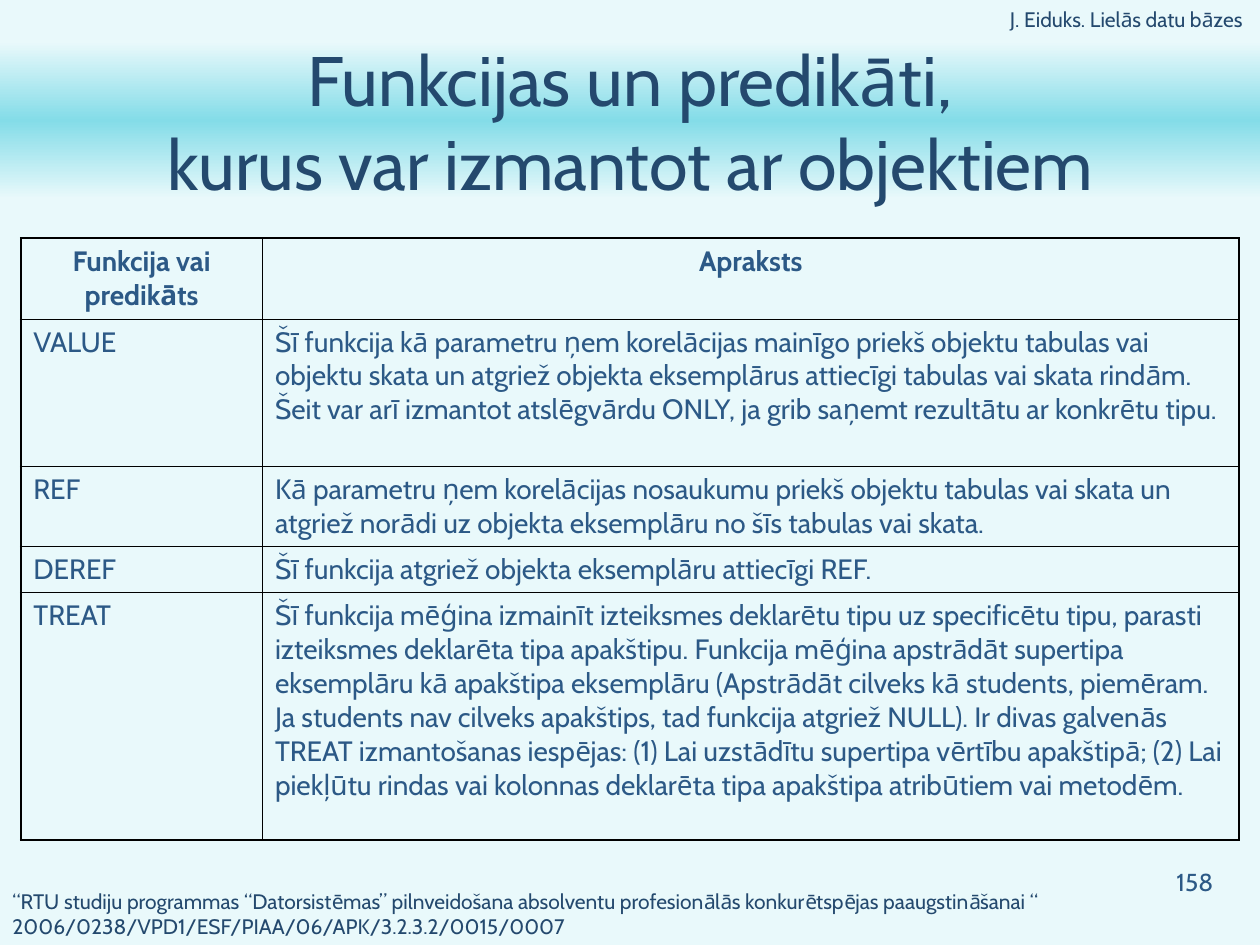
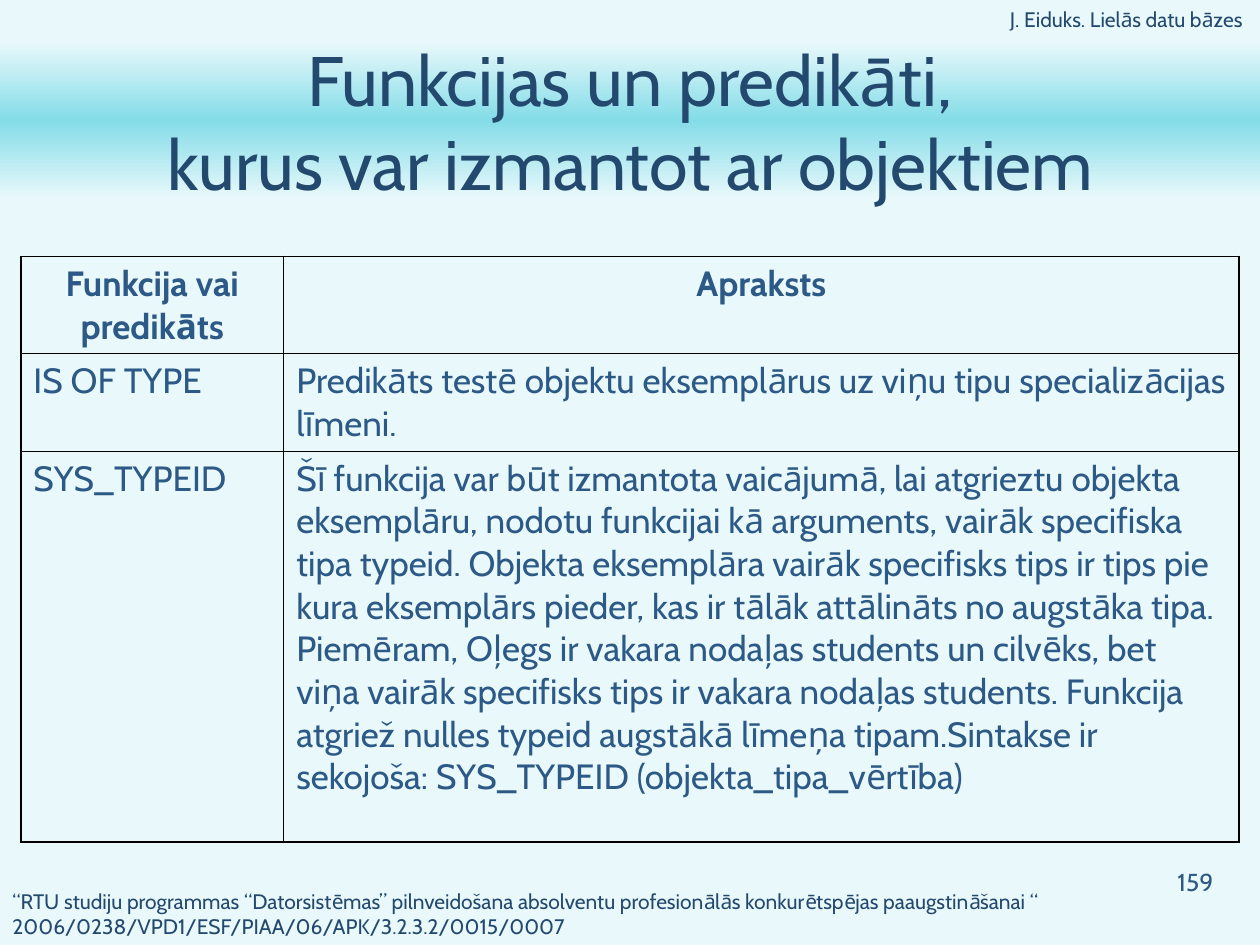
"""Build two slides on the functions and predicates usable with objects."""
from copy import deepcopy

from lxml import etree
from pptx import Presentation
from pptx.dml.color import RGBColor
from pptx.enum.text import MSO_ANCHOR, MSO_AUTO_SIZE, PP_ALIGN
from pptx.oxml.ns import qn
from pptx.util import Cm, Pt

LEFT, CENTER, RIGHT = PP_ALIGN.LEFT, PP_ALIGN.CENTER, PP_ALIGN.RIGHT
TOP, MIDDLE = MSO_ANCHOR.TOP, MSO_ANCHOR.MIDDLE
NO_AUTOFIT = MSO_AUTO_SIZE.NONE
TITLE_ONLY = 5

FONT = "Cabin"
COLORS = {
    "background": "E9F9FB",
    "band": "84DCE8",
    "title": "24496E",
    "body": "2C5986",
    "border": "000000",
}
OUTER_BORDER, INNER_BORDER = Pt(1.08), Pt(0.45)
PAGE_WIDTH, PAGE_HEIGHT = Cm(25.4), Cm(19.05)
TABLE_LEFT = Cm(0.42)
TITLE_SIZE = 40
FIRST_NUMBER = 158

TITLE = "Funkcijas un predikāti,\vkurus var izmantot ar objektiem"
HEADER = "J. Eiduks. Lielās datu bāzes "
FOOTER = [
    "“RTU studiju programmas “Datorsistēmas” pilnveidošana absolventu "
    "profesionālās konkurētspējas paaugstināšanai “",
    "2006/0238/VPD1/ESF/PIAA/06/APK/3.2.3.2/0015/0007",
]
HEADINGS = ("Funkcija vai predikāts", "Apraksts")

TABLES = [
    {
        "top": 4.8,
        "size": 16,
        "widths": [4.87, 19.69],
        "heights": [1.63, 2.97, 1.61, 0.94, 4.99],
        "rows": [
            HEADINGS,
            ("VALUE",
             "Šī funkcija kā parametru ņem korelācijas mainīgo priekš objektu "
             "tabulas vai objektu skata un atgriež objekta eksemplārus attiecīgi "
             "tabulas vai skata rindām. Šeit var arī izmantot atslēgvārdu ONLY, "
             "ja grib saņemt rezultātu ar konkrētu tipu."),
            ("REF",
             "Kā parametru ņem korelācijas nosaukumu priekš objektu tabulas vai "
             "skata un atgriež norādi uz objekta eksemplāru no šīs tabulas vai "
             "skata."),
            ("DEREF", "Šī funkcija atgriež objekta eksemplāru attiecīgi REF."),
            ("TREAT",
             "Šī funkcija mēģina izmainīt izteiksmes deklarētu tipu uz specificētu "
             "tipu, parasti izteiksmes deklarēta tipa apakštipu. Funkcija mēģina "
             "apstrādāt supertipa eksemplāru kā apakštipa eksemplāru (Apstrādāt "
             "cilveks kā students, piemēram. Ja students nav cilveks apakštips, "
             "tad funkcija atgriež NULL). Ir divas galvenās TREAT izmantošanas "
             "iespējas: (1) Lai uzstādītu supertipa vērtību apakštipā; (2) Lai "
             "piekļūtu rindas vai kolonnas deklarēta tipa apakštipa atribūtiem "
             "vai metodēm."),
        ],
    },
    {
        "top": 5.17,
        "size": 20,
        "widths": [5.3, 19.26],
        "heights": [1.96, 1.96, 7.88],
        "rows": [
            HEADINGS,
            ("IS OF TYPE",
             "Predikāts testē objektu eksemplārus uz viņu tipu specializācijas "
             "līmeni."),
            ("SYS_TYPEID",
             "Šī funkcija var būt izmantota vaicājumā, lai atgrieztu objekta "
             "eksemplāru, nodotu funkcijai kā arguments, vairāk specifiska tipa "
             "typeid. Objekta eksemplāra vairāk specifisks tips ir tips pie kura "
             "eksemplārs pieder, kas ir tālāk attālināts no augstāka tipa. "
             "Piemēram, Oļegs ir vakara nodaļas students un cilvēks, bet viņa "
             "vairāk specifisks tips ir vakara nodaļas students. Funkcija atgriež "
             "nulles typeid augstākā līmeņa tipam.Sintakse ir sekojoša: "
             "SYS_TYPEID (objekta_tipa_vērtība)"),
        ],
    },
]


def color(name):
    return RGBColor.from_string(COLORS[name])


def write(frame, *lines, size=12, ink="title", bold=False, align=LEFT, anchor=TOP):
    frame.word_wrap = True
    frame.vertical_anchor = anchor
    for index, line in enumerate(lines):
        paragraph = frame.add_paragraph() if index else frame.paragraphs[0]
        paragraph.text = line
        paragraph.alignment = align
        for span in paragraph.runs:
            span.font.name = FONT
            span.font.size = Pt(size)
            span.font.bold = bold
            span.font.color.rgb = color(ink)


def add_text(page, left, top, width, height, *lines, **style):
    box = page.shapes.add_textbox(Cm(left), Cm(top), Cm(width), Cm(height))
    write(box.text_frame, *lines, **style)


def add_title(page):
    title = page.shapes.title
    title.left, title.top = 0, Cm(0.84)
    title.width, title.height = PAGE_WIDTH, Cm(3.17)
    title.fill.gradient()
    title.fill.gradient_angle = 270
    stop_list = title.fill.gradient_stops[0]._gs.getparent()
    stop_list.append(deepcopy(stop_list[0]))
    names = ("background", "band", "background")
    for index, (stop, name) in enumerate(zip(title.fill.gradient_stops, names)):
        stop.position = index / 2
        stop.color.rgb = color(name)
    title.text_frame.auto_size = NO_AUTOFIT
    write(title.text_frame, TITLE, size=TITLE_SIZE, align=CENTER, anchor=MIDDLE)


def set_borders(cell, outer_sides):
    properties = cell._tc.get_or_add_tcPr()
    for index, side in enumerate("LRTB"):
        width = OUTER_BORDER if side in outer_sides else INNER_BORDER
        line = etree.Element(qn(f"a:ln{side}"), w=str(int(width)))
        fill = etree.SubElement(line, qn("a:solidFill"))
        etree.SubElement(fill, qn("a:srgbClr"), val=COLORS["border"])
        properties.insert(index, line)


def add_function_table(page, content):
    rows, widths, heights = content["rows"], content["widths"], content["heights"]
    table = page.shapes.add_table(
        len(rows), len(widths), TABLE_LEFT, Cm(content["top"]),
        Cm(sum(widths)), Cm(sum(heights))).table
    table.horz_banding = False
    for column, width in zip(table.columns, widths):
        column.width = Cm(width)
    for row_index, texts in enumerate(rows):
        table.rows[row_index].height = Cm(heights[row_index])
        heading = row_index == 0
        for column_index, text in enumerate(texts):
            cell = table.cell(row_index, column_index)
            cell.fill.background()
            outer_sides = "R" if column_index else "L"
            if heading:
                outer_sides += "T"
            if row_index == len(rows) - 1:
                outer_sides += "B"
            set_borders(cell, outer_sides)
            write(cell.text_frame, text, size=content["size"], ink="body",
                  bold=heading, align=CENTER if heading else LEFT)


def main():
    deck = Presentation()
    deck.slide_width, deck.slide_height = PAGE_WIDTH, PAGE_HEIGHT
    master = deck.slide_master
    master.background.fill.solid()
    master.background.fill.fore_color.rgb = color("background")
    title_style = master.element.find(".//" + qn("p:titleStyle"))
    title_style.find(".//" + qn("a:defRPr")).set("sz", str(TITLE_SIZE * 100))
    for number, content in enumerate(TABLES, FIRST_NUMBER):
        page = deck.slides.add_slide(deck.slide_layouts[TITLE_ONLY])
        add_text(page, 0, 17.78, 25.4, 1.27, *FOOTER)
        add_title(page)
        add_function_table(page, content)
        add_text(page, 4.65, 0, 20.75, 0.53, HEADER, align=RIGHT)
        add_text(page, 22.45, 17.35, 2.26, 1.27, str(number),
                 size=14, ink="body", align=RIGHT)
    deck.save("out.pptx")


if __name__ == "__main__":
    main()
